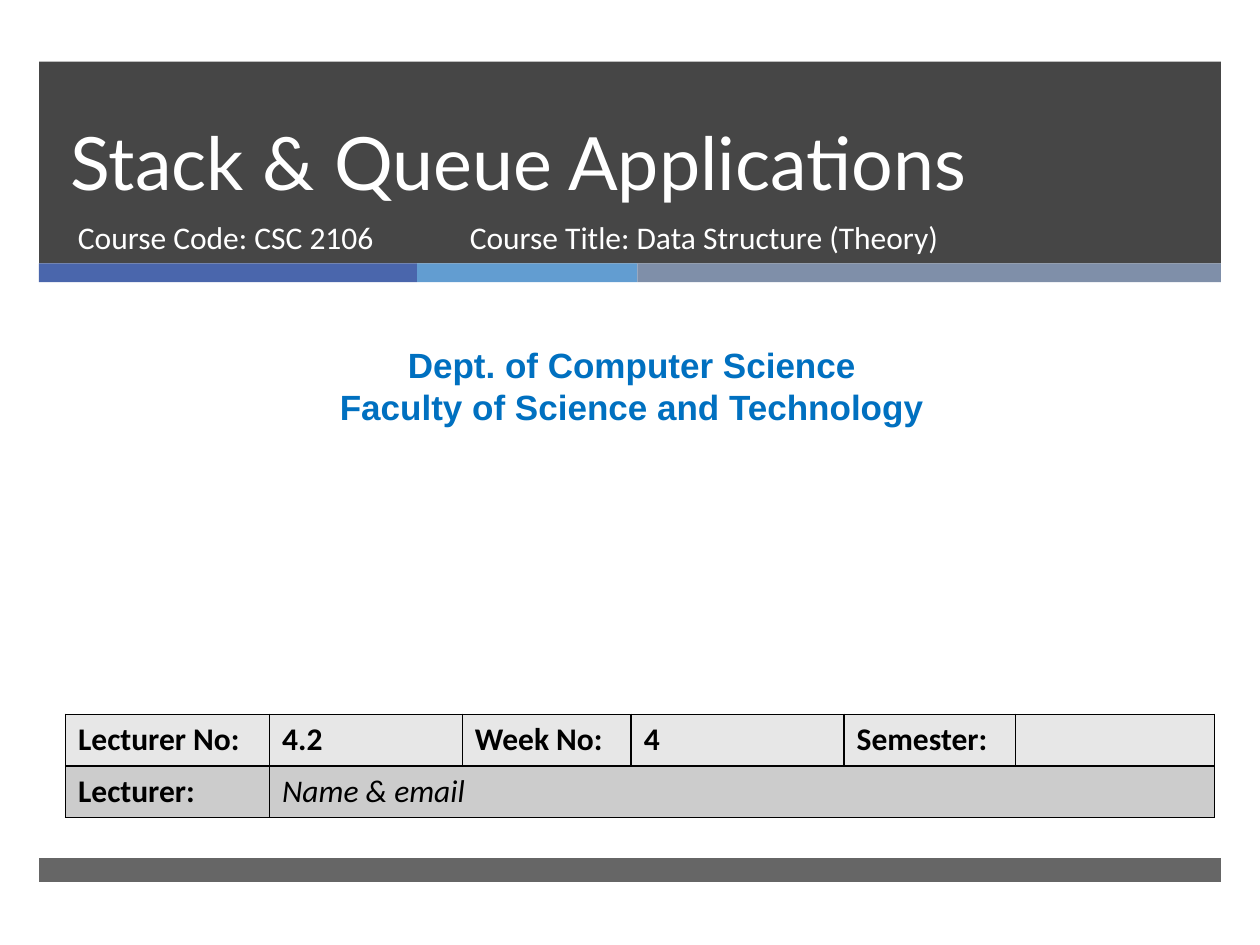
from dataclasses import dataclass
from pptx import Presentation
from pptx.dml.color import RGBColor as RGB
from pptx.enum.shapes import MSO_SHAPE as SHAPE
from pptx.enum.text import MSO_ANCHOR as ANCHOR, MSO_AUTO_SIZE as AUTO, PP_ALIGN as ALIGN
from pptx.oxml.ns import qn
from pptx.util import Inches, Pt
from lxml.etree import SubElement


@dataclass(frozen=True)
class Theme:
    dark: str = "262626"
    white: str = "FFFFFF"
    black: str = "000000"
    accent: str = "0070C0"
    rows: tuple = ("E7E7E7", "CCCCCC")
    title_size: int = 42
    dept_size: int = 20
    body_size: int = 18
    title_font: str = "Lato"
    dept_font: str = "Arial"
    body_font: str = "Calibri"


@dataclass(frozen=True)
class Bar:
    left: float
    top: float
    width: float
    height: float
    color: str
    opacity: int = 100


@dataclass(frozen=True)
class Style:
    font: str
    size: int
    color: str
    bold: bool = False
    italic: bool = False


@dataclass(frozen=True)
class Label:
    left: float
    top: float
    width: float
    height: float
    lines: tuple
    style: Style
    align: ALIGN = ALIGN.LEFT


T = Theme()
LEFT, WIDTH, STRIPE_TOP = 0.31, 9.38, 2.09
STRIPES = ((3, "4A66AC"), (1.75, "629DD1"), (4.63, "7F8FA9"))
COURSE = Style(T.body_font, T.body_size, T.white)
DEPT = Style(T.dept_font, T.dept_size, T.accent, bold=True)
HEAD = Style(T.body_font, T.body_size, T.black, bold=True)
NAME = Style(T.body_font, T.body_size, T.black, italic=True)
LABELS = (
    Label(0.52, 1.68, 3.05, 0.53, ("Course Code: CSC 2106",), COURSE),
    Label(0.08, 2.68, 9.87, 0.77,
          ("Dept. of Computer Science", "Faculty of Science and Technology"), DEPT, ALIGN.CENTER),
    Label(3.63, 1.68, 4.55, 0.53, ("Course Title: Data Structure (Theory)",), COURSE),
)
COLUMNS = (1.62, 1.53, 1.34, 1.69, 1.36, 1.58)
ROW_HEIGHT = 0.41
CELLS = (
    ("Lecturer No:", "4.2", "Week No:", "4", "Semester:", ""),
    ("Lecturer:", "Name & email", "", "", "", ""),
)


def add_run(p, text: str, style: Style) -> None:
    r = p.add_run()
    r.text = text
    r.font.name = style.font
    r.font.size = Pt(style.size)
    r.font.bold = style.bold
    r.font.italic = style.italic
    r.font.color.rgb = RGB.from_string(style.color)


def add_bar(slide, bar: Bar) -> None:
    box = map(Inches, (bar.left, bar.top, bar.width, bar.height))
    sp = slide.shapes.add_shape(SHAPE.RECTANGLE, *box)
    sp.shadow.inherit = False
    sp.line.fill.background()
    sp.fill.solid()
    sp.fill.fore_color.rgb = RGB.from_string(bar.color)
    if bar.opacity < 100:
        color = sp._element.spPr.find(qn("a:solidFill"))[0]
        SubElement(color, qn("a:alpha"), val=str(bar.opacity * 1000))


def add_label(slide, label: Label) -> None:
    box = map(Inches, (label.left, label.top, label.width, label.height))
    tf = slide.shapes.add_textbox(*box).text_frame
    tf.word_wrap = True
    for i, line in enumerate(label.lines):
        p = tf.add_paragraph() if i else tf.paragraphs[0]
        p.alignment = label.align
        add_run(p, line, label.style)


def place_title(slide) -> None:
    sp = slide.shapes.title
    slide.shapes._spTree.append(sp._element)
    sp.left, sp.top, sp.width, sp.height = map(Inches, (0.46, 0.49, 8.54, 1.19))
    tf = sp.text_frame
    tf.auto_size = AUTO.NONE
    tf.vertical_anchor = ANCHOR.BOTTOM
    p = tf.paragraphs[0]
    p.alignment = ALIGN.LEFT
    p.line_spacing = Pt(46)
    add_run(p, "Stack & Queue Applications", Style(T.title_font, T.title_size, T.white))


def set_borders(cell) -> None:
    tc_pr = cell._tc.get_or_add_tcPr()
    for side in ("lnL", "lnR", "lnT", "lnB"):
        ln = SubElement(tc_pr, qn(f"a:{side}"), w=str(Pt(1)))
        SubElement(SubElement(ln, qn("a:solidFill")), qn("a:srgbClr"), val=T.black)


def add_lecture_table(slide) -> None:
    box = map(Inches, (0.52, 5.67, sum(COLUMNS), ROW_HEIGHT * len(CELLS)))
    table = slide.shapes.add_table(len(CELLS), len(COLUMNS), *box).table
    for column, width in zip(table.columns, COLUMNS):
        column.width = Inches(width)
    for i, (texts, fill) in enumerate(zip(CELLS, T.rows)):
        table.rows[i].height = Inches(ROW_HEIGHT)
        for j, text in enumerate(texts):
            cell = table.cell(i, j)
            set_borders(cell)
            cell.fill.solid()
            cell.fill.fore_color.rgb = RGB.from_string(fill)
            if text:
                add_run(cell.text_frame.paragraphs[0], text, NAME if (i, j) == (1, 1) else HEAD)
    table.cell(1, 1).merge(table.cell(1, len(COLUMNS) - 1))


prs = Presentation()
prs.slide_width, prs.slide_height = Inches(10), Inches(7.5)
slide = prs.slides.add_slide(prs.slide_layouts[5])

add_bar(slide, Bar(LEFT, 0.49, WIDTH, 1.6, T.dark, 85))
left = LEFT
for width, color in STRIPES:
    add_bar(slide, Bar(left, STRIPE_TOP, width, 0.15, color))
    left += width
add_bar(slide, Bar(LEFT, 6.81, WIDTH, 0.19, T.dark, 70))

place_title(slide)
for label in LABELS:
    add_label(slide, label)
add_lecture_table(slide)

prs.save("out.pptx")
